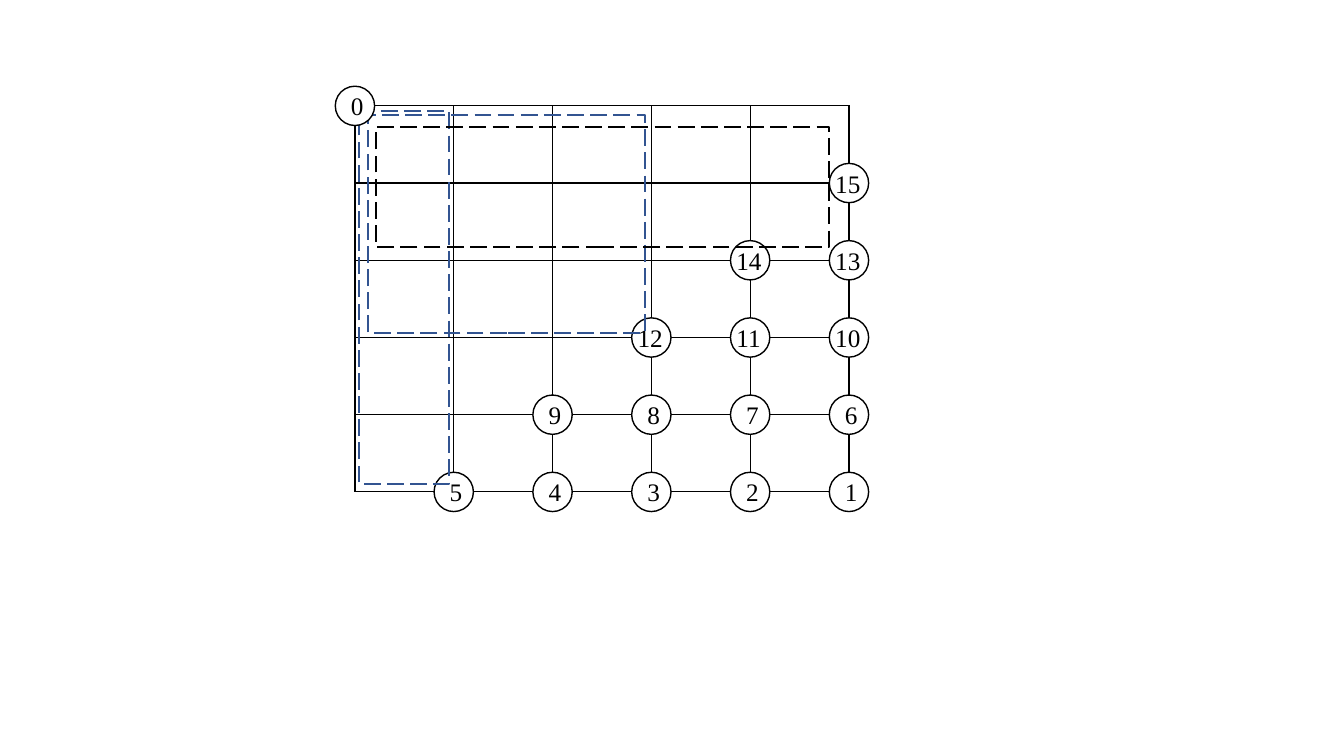
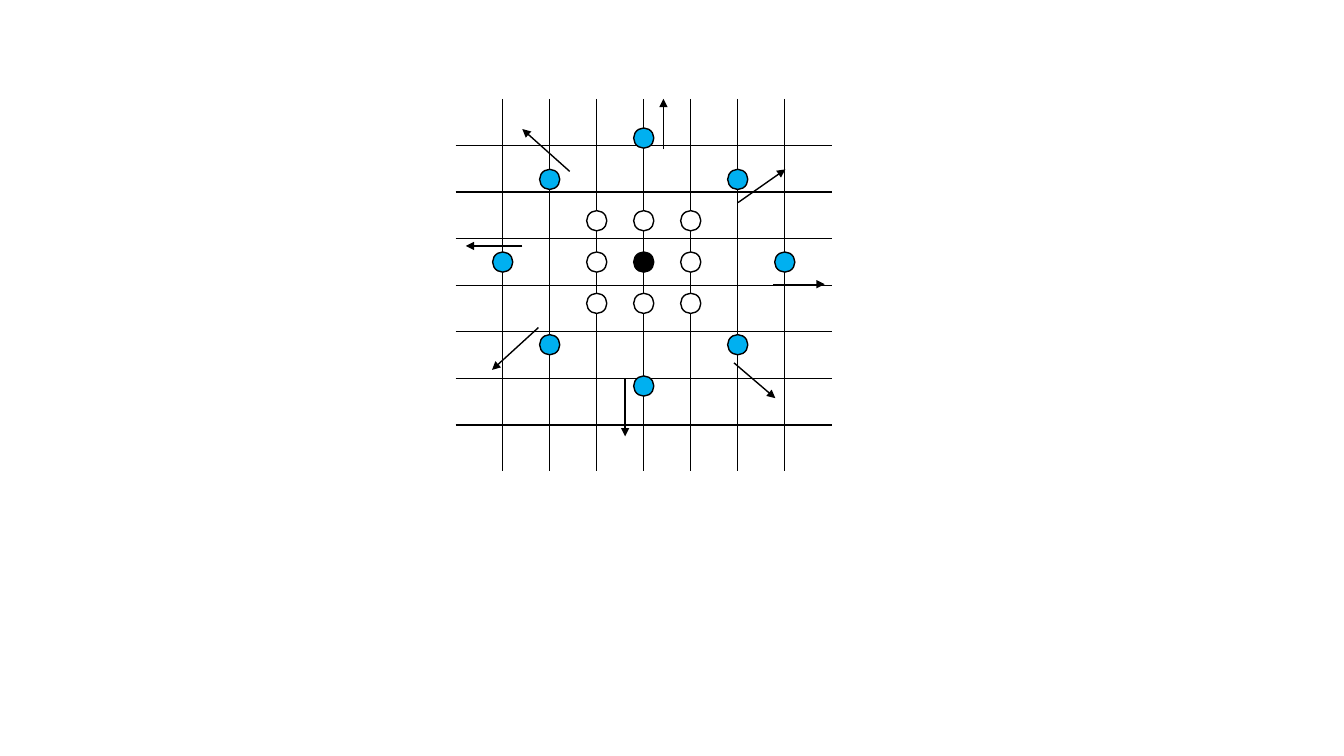
from lxml import etree
from pptx import Presentation
from pptx.dml.color import RGBColor
from pptx.enum.dml import MSO_LINE
from pptx.enum.shapes import MSO_CONNECTOR, MSO_SHAPE
from pptx.enum.text import MSO_ANCHOR, MSO_AUTO_SIZE, PP_ALIGN
from pptx.oxml.ns import qn
from pptx.util import Inches, Pt

BLACK = RGBColor(0x00, 0x00, 0x00)
WHITE = RGBColor(0xFF, 0xFF, 0xFF)
NAVY = RGBColor(0x32, 0x54, 0x91)
SKY = RGBColor(0x00, 0xB0, 0xF0)

ELLIPSE, RECTANGLE = MSO_SHAPE.OVAL, MSO_SHAPE.RECTANGLE
STRAIGHT = MSO_CONNECTOR.STRAIGHT
LONG_DASH = MSO_LINE.LONG_DASH
MIDDLE, CENTER = MSO_ANCHOR.MIDDLE, PP_ALIGN.CENTER
FIT_SHAPE = MSO_AUTO_SIZE.SHAPE_TO_FIT_TEXT


class Sketch:
    """Holds the shared style and the slide being drawn."""

    font = "Times New Roman"
    text_size = Pt(18)
    line_width = Pt(1)
    dash_width = Pt(1.5)

    def __init__(self, deck):
        self.deck = deck
        self.page = None

    def new_page(self):
        self.page = self.deck.slides.add_slide(self.deck.slide_layouts[6])

    def grid(self, left, top, size, cell_width, cell_height, framed):
        """Square table of empty cells, with or without its outer frame."""
        table = self.page.shapes.add_table(
            size, size, Inches(left), Inches(top),
            Inches(cell_width * size), Inches(cell_height * size)).table
        table.first_row = table.horz_banding = False
        for column in table.columns:
            column.width = Inches(cell_width)
        for row in table.rows:
            row.height = Inches(cell_height)
        last = size - 1
        for row in range(size):
            for column in range(size):
                cell = table.cell(row, column)
                inner = {"L": column > 0, "R": column < last,
                         "T": row > 0, "B": row < last}
                for side, is_inner in inner.items():
                    self.cell_border(cell, side, framed or is_inner)
                cell.fill.background()

    def cell_border(self, cell, side, visible):
        properties = cell._tc.get_or_add_tcPr()
        border = etree.SubElement(properties, qn(f"a:ln{side}"),
                                  w=str(self.line_width))
        if visible:
            fill = etree.SubElement(border, qn("a:solidFill"))
            etree.SubElement(fill, qn("a:srgbClr"), val=str(BLACK))
        else:
            etree.SubElement(border, qn("a:noFill"))

    def circle(self, x, y, diameter, color=WHITE):
        """Outlined circle around the centre x, y."""
        shape = self.page.shapes.add_shape(
            ELLIPSE, Inches(x - diameter / 2), Inches(y - diameter / 2),
            Inches(diameter), Inches(diameter))
        shape.shadow.inherit = False
        shape.fill.solid()
        shape.fill.fore_color.rgb = color
        shape.line.color.rgb = BLACK
        shape.line.width = self.line_width
        return shape

    def add_label(self, para, text):
        span = para.add_run()
        span.text = text
        span.font.name = self.font
        span.font.size = self.text_size
        span.font.color.rgb = BLACK

    def node(self, x, y, number):
        """Numbered circle; two digits need a box wider than the circle."""
        shape = self.circle(x, y, 0.39)
        if number < 10:
            shape.text_frame.vertical_anchor = MIDDLE
            para = shape.text_frame.paragraphs[0]
            para.alignment = CENTER
        else:
            box = self.page.shapes.add_textbox(
                Inches(x - 0.235), Inches(y - 0.2), Inches(0.45), Inches(0.4))
            box.text_frame.word_wrap = False
            box.text_frame.auto_size = FIT_SHAPE
            para = box.text_frame.paragraphs[0]
        self.add_label(para, str(number))

    def dashed_box(self, left, top, width, height, color):
        shape = self.page.shapes.add_shape(
            RECTANGLE, Inches(left), Inches(top), Inches(width), Inches(height))
        shape.shadow.inherit = False
        shape.fill.background()
        shape.line.color.rgb = color
        shape.line.width = self.dash_width
        shape.line.dash_style = LONG_DASH

    def arrow(self, x1, y1, x2, y2):
        connector = self.page.shapes.add_connector(
            STRAIGHT, Inches(x1), Inches(y1), Inches(x2), Inches(y2))
        connector.line.color.rgb = BLACK
        connector.line.width = self.line_width
        properties = connector._element.spPr
        etree.SubElement(properties.find(qn("a:ln")), qn("a:tailEnd"),
                         type="triangle")
        etree.SubElement(properties, qn("a:effectLst"))


def numbered_grid(sketch):
    sketch.new_page()
    left, top, size = 3.52, 1.05, 5
    cell_width, cell_height = 0.98, 3.83 / size
    sketch.grid(left, top, size, cell_width, cell_height, framed=True)

    # Nodes count from the bottom right corner, one fewer in each row up
    number = 1
    for row in range(size, 0, -1):
        for column in range(size, size - row, -1):
            sketch.node(left + column * cell_width,
                        top + row * cell_height, number)
            number += 1

    # Regions spanned from the origin
    sketch.dashed_box(3.56, 1.1, 0.89, 3.7, NAVY)
    sketch.dashed_box(3.65, 1.14, 2.75, 2.16, NAVY)
    sketch.dashed_box(3.73, 1.26, 4.49, 1.19, BLACK)
    sketch.node(left, top, 0)


def spreading_points(sketch):
    sketch.new_page()
    left, top, size = 4.52, 0.98, 8
    cell = 3.73 / size
    sketch.grid(left, top, size, cell, 3.7 / size, framed=False)

    # Points as steps from the centre
    center_x, center_y, step_y = left + 4 * cell, 2.6, 0.41
    steps = (-1, 0, 1)
    inner = [(x, y) for y in steps for x in steps if (x, y) != (0, 0)]
    outer = [(x * reach, y * reach) for x, y in inner
             for reach in [2 if x and y else 3]]
    for color, points in ((BLACK, [(0, 0)]), (WHITE, inner), (SKY, outer)):
        for x, y in points:
            sketch.circle(center_x + x * cell, center_y + y * step_y,
                          0.2, color)

    # Outward directions, clockwise from the top
    for ends in ((6.58, 1.48, 6.58, 0.98), (7.32, 2.01, 7.79, 1.68),
                 (7.67, 2.82, 8.18, 2.82), (7.28, 3.6, 7.69, 3.95),
                 (6.2, 3.75, 6.2, 4.33), (5.34, 3.25, 4.88, 3.67),
                 (5.18, 2.44, 4.62, 2.44), (5.65, 1.7, 5.18, 1.28)):
        sketch.arrow(*ends)


def main():
    deck = Presentation()
    deck.slide_width, deck.slide_height = Inches(13.33), Inches(7.5)
    sketch = Sketch(deck)
    numbered_grid(sketch)
    spreading_points(sketch)
    deck.save("out.pptx")


if __name__ == "__main__":
    main()
